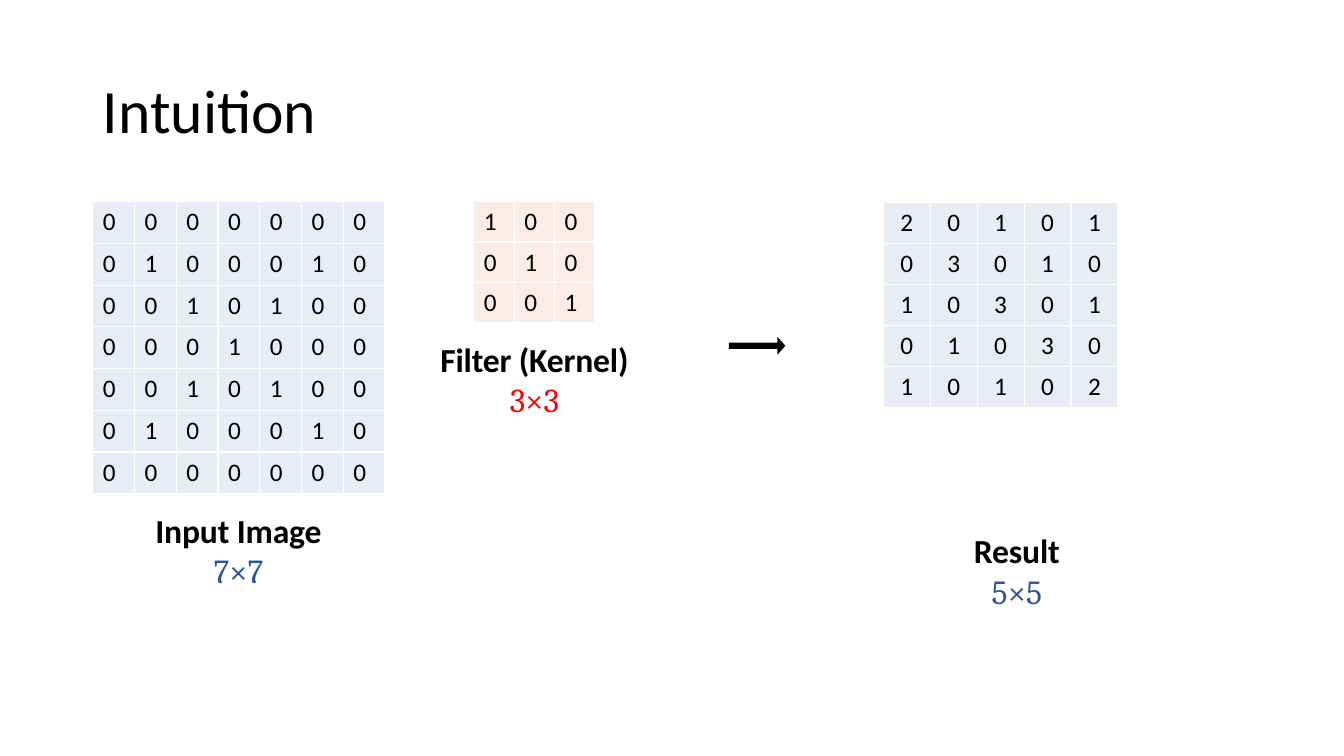
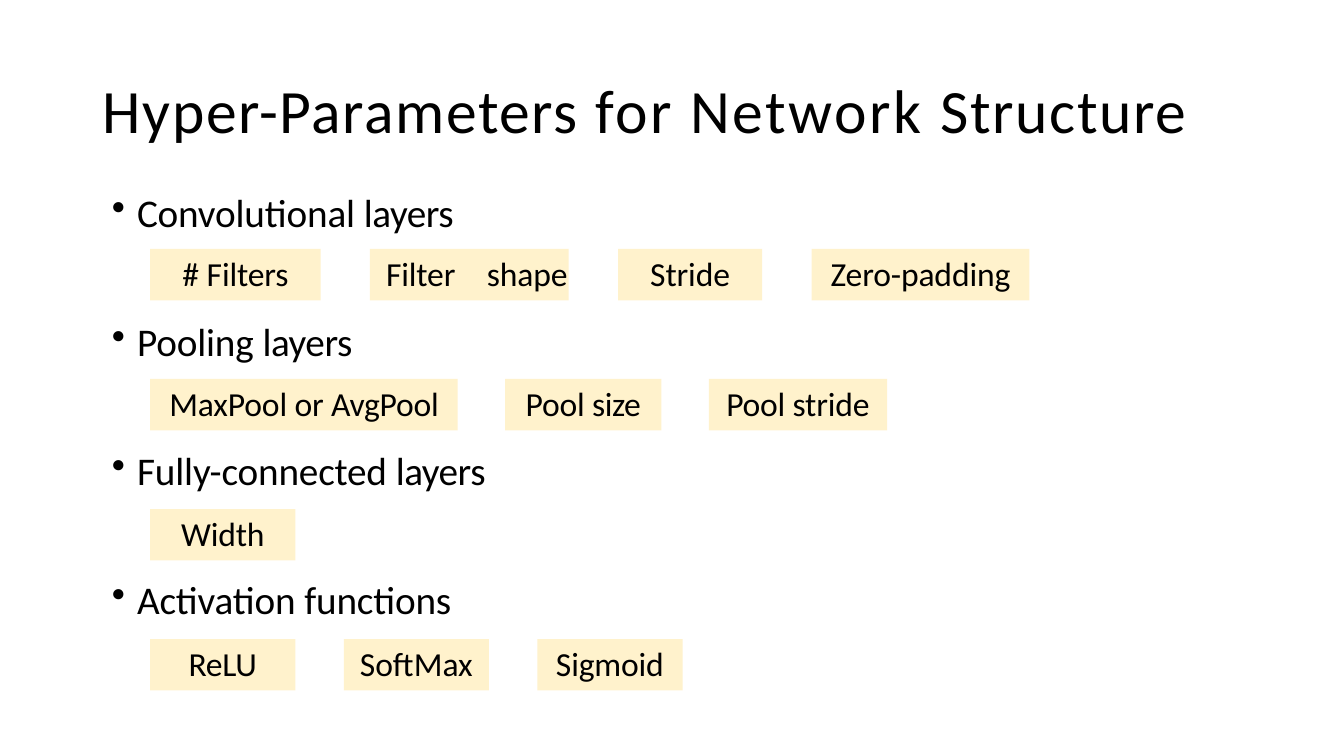
from lxml import etree
from pptx import Presentation
from pptx.dml.color import RGBColor
from pptx.enum.shapes import MSO_SHAPE
from pptx.enum.text import MSO_ANCHOR, PP_ALIGN
from pptx.oxml.ns import qn
from pptx.util import Pt

PX = 9144  # EMU per px, 100 px to the inch
TITLE_ONLY = 5
RECTANGLE = MSO_SHAPE.RECTANGLE
TOP, MIDDLE = MSO_ANCHOR.TOP, MSO_ANCHOR.MIDDLE
LEFT, CENTER = PP_ALIGN.LEFT, PP_ALIGN.CENTER

BLACK, WHITE, RED, BLUE = "000000", "FFFFFF", "FF0000", "2F5597"
PALE_BLUE, PALE_RED, PALE_YELLOW = "E9EBF5", "FCECE8", "FFF2CC"


def px(length):
    return int(length * PX)


def colour(value):
    return RGBColor.from_string(value)


def set_all(target, values):
    for name, value in values.items():
        setattr(target, name, value)


def add_xml(parent, tag, **attributes):
    return etree.SubElement(parent, qn(tag), attributes)


def indent(para, margin, first_line):
    properties = para._p.get_or_add_pPr()
    properties.set("marL", str(px(margin)))
    properties.set("indent", str(px(first_line)))
    return properties


class Deck:
    """Shared style and the slide being filled."""

    def __init__(self):
        self.file = Presentation()
        set_all(self.file, {"slide_width": px(1333), "slide_height": px(750)})
        self.page = None

    def new_page(self, *title_spans):
        self.page = self.file.slides.add_slide(self.file.slide_layouts[TITLE_ONLY])
        title = self.page.shapes.title
        set_all(title, {"left": px(92), "top": px(40),
                        "width": px(1150), "height": px(145)})
        title.text_frame.vertical_anchor = MIDDLE
        para = title.text_frame.paragraphs[0]
        set_all(para, {"alignment": LEFT, "line_spacing": 0.9})
        self.add_spans(para, title_spans, size=44)

    def add_spans(self, para, spans, size, font="Calibri", ink=BLACK, bold=False):
        """Each span is a text and its letter spacing in points."""
        for text, spacing in spans:
            span = para.add_run()
            span.text = text
            set_all(span.font, {"name": font, "size": Pt(size), "bold": bold})
            span.font.color.rgb = colour(ink)
            if spacing:
                span._r.get_or_add_rPr().set("spc", str(round(spacing * 100)))

    def frame(self, box, inset_top):
        frame = box.text_frame
        set_all(frame, {"margin_left": 0, "margin_right": 0, "margin_bottom": 0,
                        "margin_top": px(inset_top), "word_wrap": True,
                        "vertical_anchor": TOP})
        return frame

    def text_box(self, left, top, width, height):
        box = self.page.shapes.add_textbox(px(left), px(top), px(width), px(height))
        return self.frame(box, 2)

    def paint(self, shape, fill):
        shape.shadow.inherit = False
        shape.fill.solid()
        shape.fill.fore_color.rgb = colour(fill)
        shape.line.fill.background()

    def caption(self, left, top, width, name, size, ink):
        frame = self.text_box(left, top, width, 83)
        name_para, size_para = frame.paragraphs[0], frame.add_paragraph()
        name_para.alignment = size_para.alignment = CENTER
        self.add_spans(name_para, [(name, -0.1)], size=24, bold=True)
        self.add_spans(size_para, [(size, -0.1)], size=24, font="Cambria", ink=ink)

    def matrix(self, left, top, width, height, rows, fill, align=LEFT, anchor=TOP):
        table = self.page.shapes.add_table(
            len(rows), len(rows[0]), px(left), px(top), px(width), px(height)).table
        set_all(table, {"first_row": False, "horz_banding": False})
        for row, digits in enumerate(rows):
            for column, digit in enumerate(digits):
                cell = table.cell(row, column)
                self.border(cell)
                cell.fill.solid()
                cell.fill.fore_color.rgb = colour(fill)
                cell.vertical_anchor = anchor
                para = cell.text_frame.paragraphs[0]
                para.alignment = align
                self.add_spans(para, [(digit, 0)], size=18)

    def border(self, cell):
        properties = cell._tc.get_or_add_tcPr()
        for side in ("a:lnL", "a:lnR", "a:lnT", "a:lnB"):
            line = add_xml(properties, side, w=str(int(Pt(1))))
            add_xml(add_xml(line, "a:solidFill"), "a:srgbClr", val=WHITE)

    def arrow(self, points):
        builder = self.page.shapes.build_freeform(*points[0], scale=PX)
        builder.add_line_segments(points[1:], close=True)
        self.paint(builder.convert_to_shape(), BLACK)

    def bullet(self, left, top, width, spans):
        para = self.text_box(left, top, width, 49).paragraphs[0]
        add_xml(indent(para, 26, -25), "a:buChar", char="•")
        self.add_spans(para, spans, size=28)

    def chip(self, left, top, width, spans):
        box = self.page.shapes.add_shape(RECTANGLE, px(left), px(top), px(width), px(51))
        self.paint(box, PALE_YELLOW)
        para = self.frame(box, 4).paragraphs[0]
        para.alignment = CENTER
        if any("\t" in text for text, _ in spans):
            para.alignment = LEFT
            tabs = add_xml(indent(para, 16, 0), "a:tabLst")
            add_xml(tabs, "a:tab", pos=str(px(100)), algn="l")
        self.add_spans(para, spans, size=24)


INPUT = ["0000000", "0100010", "0010100", "0001000", "0010100", "0100010", "0000000"]
KERNEL = ["100", "010", "001"]
RESULT = ["20101", "03010", "10301", "01030", "10102"]

# Heading spans, heading width, gap between chips, chips as (width, spans)
LAYERS = [
    ([("Convolutional ", -0.1), ("layers", -0.3)], 346, 49, [
        (169, [("# ", 0), ("Filters", -0.1)]),
        (197, [("Filter\tshape", -0.1)]),
        (143, [("Stride", -0.1)]),
        (216, [("Zero-padding", -0.1)])]),
    ([("Pooling ", -0.1), ("layers", -0.3)], 245, 47, [
        (305, [("MaxPool or", -0.1), (" AvgPool", -0.2)]),
        (155, [("Pool ", -0.2), ("size", -0.3)]),
        (177, [("Pool ", -0.2), ("stride", -0.1)])]),
    ([("Fully-connected ", -0.1), ("layers", -0.3)], 378, 47, [
        (144, [("Width", -0.1)])]),
    ([("Activation functions", -0.1)], 343, 48, [
        (144, [("ReLU", -0.2)]),
        (144, [("SoftMax", -0.1)]),
        (144, [("Sigmoid", -0.1)])]),
]


def intuition(deck):
    deck.new_page(("Intuition", 0))
    # Input, filter and result
    deck.matrix(92, 200, 290, 290, INPUT, PALE_BLUE)
    deck.caption(152, 504, 169, "Input Image", "7×7", BLUE)
    deck.matrix(470, 200, 120, 120, KERNEL, PALE_RED)
    deck.caption(434, 334, 192, "Filter (Kernel)", "3×3", RED)
    deck.matrix(876, 201, 233, 203, RESULT, PALE_BLUE, CENTER, MIDDLE)
    deck.caption(924, 524, 169, "Result", "5×5", BLUE)
    # Arrow towards the result
    deck.arrow([(723, 340), (771, 340), (771, 334), (779, 343),
                (771, 352), (771, 346), (723, 346)])


def hyper_parameters(deck):
    deck.new_page(("Hyper-Parameters ", 1.1), ("for ", 1.6),
                  ("Network ", 1.8), ("Structure", 1.1))
    # One heading and one row of chips per kind of layer
    for row, (heading, width, gap, chips) in enumerate(LAYERS):
        deck.bullet(110, 185 + 128 * row, width, heading)
        left = 149
        for chip_width, spans in chips:
            deck.chip(left, 247 + 129 * row, chip_width, spans)
            left += chip_width + gap


def main():
    deck = Deck()
    intuition(deck)
    hyper_parameters(deck)
    deck.file.save("out.pptx")


if __name__ == "__main__":
    main()
